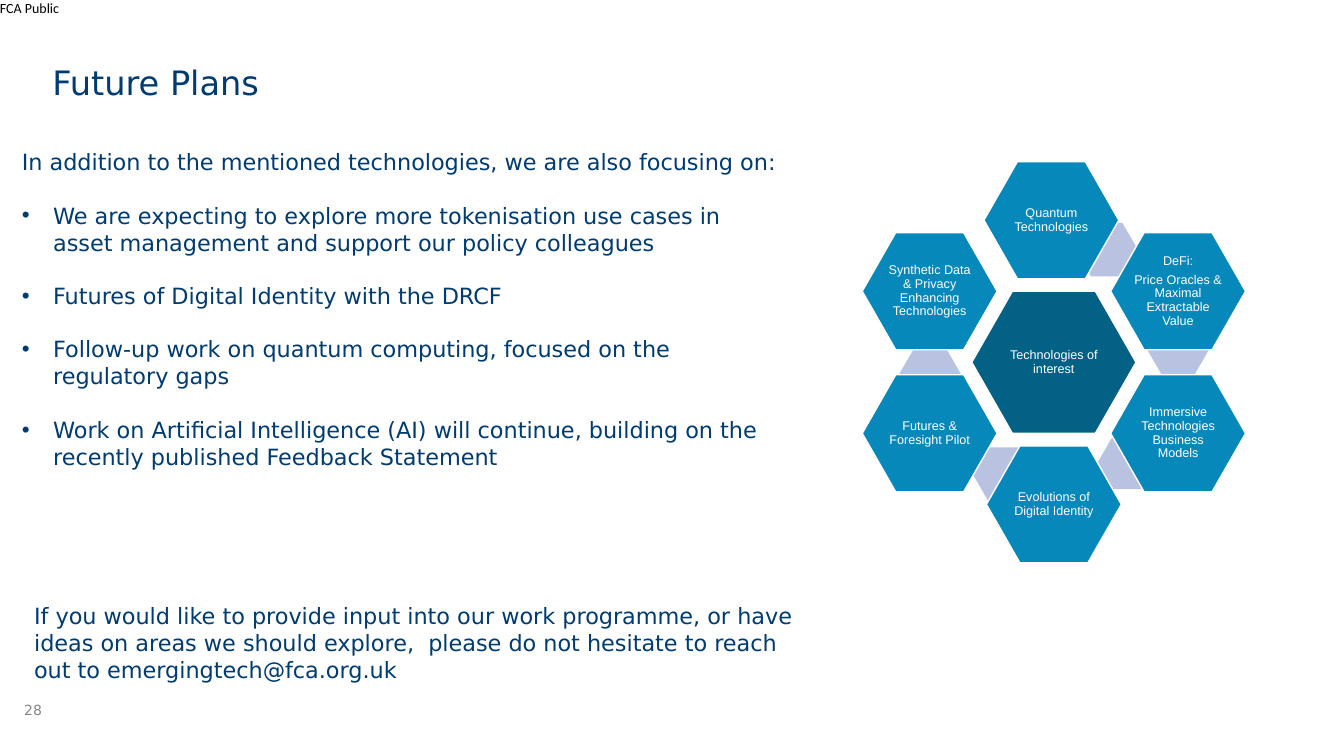
from dataclasses import dataclass

from lxml.etree import SubElement
from pptx import Presentation
from pptx.dml.color import RGBColor
from pptx.enum.shapes import MSO_SHAPE
from pptx.enum.text import MSO_ANCHOR, MSO_AUTO_SIZE, PP_ALIGN
from pptx.oxml.ns import qn
from pptx.util import Cm, Pt


@dataclass(frozen=True)
class Theme:
    navy: str = "003C71"
    grey: str = "878787"
    black: str = "000000"
    white: str = "FFFFFF"
    core: str = "046186"
    petal: str = "0688BB"
    link: str = "B9C2E1"
    title: int = 24
    body: int = 16
    small: int = 10
    label: int = 9
    main_font: str = "DejaVu Sans"
    tag_font: str = "Calibri"
    label_font: str = "Arial"


theme = Theme()


def write(tf, lines, margins, font, size, color, **para_format):
    """Fill a text frame with one paragraph per line."""
    side, top = margins
    frame_format = {"word_wrap": True, "auto_size": MSO_AUTO_SIZE.NONE,
                    "margin_left": Cm(side), "margin_right": Cm(side),
                    "margin_top": Cm(top), "margin_bottom": Cm(top)}
    for name, value in frame_format.items():
        setattr(tf, name, value)
    for i, line in enumerate(lines):
        p = tf.paragraphs[0] if i == 0 else tf.add_paragraph()
        for name, value in para_format.items():
            setattr(p, name, value)
        r = p.add_run()
        r.text = line
        r.font.name, r.font.size = font, Pt(size)
        r.font.color.rgb = RGBColor.from_string(color)


def add_hexagon(s, cx, cy, w, h, adj, fill, outlined=True):
    """Add a hexagon around a centre point, in centimetres."""
    sp = s.shapes.add_shape(MSO_SHAPE.HEXAGON, Cm(cx - w / 2), Cm(cy - h / 2), Cm(w), Cm(h))
    sp.adjustments[0] = adj
    sp.shadow.inherit = False
    sp.fill.solid()
    sp.fill.fore_color.rgb = RGBColor.from_string(fill)
    if outlined:
        sp.line.color.rgb = RGBColor.from_string(theme.white)
        sp.line.width = Pt(1)
    else:
        sp.line.fill.background()
    return sp


prs = Presentation()
prs.slide_width, prs.slide_height = Cm(33.87), Cm(19.05)
s = prs.slides.add_slide(prs.slide_layouts[5])

# Title
title = s.shapes.title
title_place = {"left": 1.32, "top": 1.55, "width": 24.94, "height": 1.02}
for name, value in title_place.items():
    setattr(title, name, Cm(value))
title.text_frame.vertical_anchor = MSO_ANCHOR.TOP
write(title.text_frame, ["Future Plans"], (0, 0), theme.main_font, theme.title,
      theme.navy, alignment=PP_ALIGN.LEFT)

# Classification tag and page number
for place, text, font, color in [
    ((0, 0, 2.5, 0.43), "FCA Public", theme.tag_font, theme.black),
    ((0.61, 17.68, 0.97, 0.71), "28", theme.main_font, theme.grey),
]:
    tb = s.shapes.add_textbox(*map(Cm, place))
    write(tb.text_frame, [text], (0, 0), font, theme.small, color)

# Focus areas: an opening line, then bullets
focus = [
    "In addition to the mentioned technologies, we are also focusing on:",
    "We are expecting to explore more tokenisation use cases in asset management "
    "and support our policy colleagues",
    "Futures of Digital Identity with the DRCF",
    "Follow-up work on quantum computing, focused on the regulatory gaps",
    "Work on Artificial Intelligence (AI) will continue, building on the recently "
    "published Feedback Statement",
]
tb = s.shapes.add_textbox(Cm(0.3), Cm(3.61), Cm(19.69), Cm(9.83))
write(tb.text_frame, focus, (0.25, 0.13), theme.main_font, theme.body, theme.navy)
for p in tb.text_frame.paragraphs[1:]:
    pPr = p._p.get_or_add_pPr()
    pPr.set("marL", str(Cm(0.79)))
    pPr.set("indent", str(-Cm(0.79)))
    SubElement(pPr, qn("a:buFont"), typeface=theme.label_font)
    SubElement(pPr, qn("a:buChar"), char="•")
    p.space_before = Pt(19)

# Contact note
tb = s.shapes.add_textbox(Cm(0.61), Cm(15.04), Cm(20.29), Cm(2.31))
write(tb.text_frame,
      ["If you would like to provide input into our work programme, or have ideas on "
       "areas we should explore,  please do not hesitate to reach out to "
       "emergingtech@fca.org.uk"],
      (0.25, 0.13), theme.main_font, theme.body, theme.navy)

# Links between the petals, behind everything else
for cx, cy in [(27.89, 6.29), (29.69, 8.8), (28.45, 11.65), (25.3, 11.95), (23.44, 9.44)]:
    add_hexagon(s, cx, cy, 1.57, 1.35, 0.289, theme.link, outlined=False)

# Core and its ring of petals, placed in column and row steps from the core
core_x, core_y = 26.56, 9.13
step_x, step_y = 3.13, 1.79
core_size, petal_size = (4.14, 3.58), (3.4, 2.95)
hexagons = [
    (0, 0, ["Technologies of interest"]),
    (-0.02, -2, ["Quantum Technologies"]),
    (1, -1, ["DeFi:", "Price Oracles & Maximal Extractable Value"]),
    (1, 1, ["Immersive Technologies Business Models"]),
    (0, 2, ["Evolutions of Digital Identity"]),
    (-1, 1, ["Futures & Foresight Pilot"]),
    (-1, -1, ["Synthetic Data & Privacy Enhancing Technologies"]),
]
for col, row, lines in hexagons:
    is_core = row == 0
    w, h = core_size if is_core else petal_size
    sp = add_hexagon(s, core_x + col * step_x, core_y + row * step_y, w, h, 0.286,
                     theme.core if is_core else theme.petal)
    sp.text_frame.vertical_anchor = MSO_ANCHOR.MIDDLE
    write(sp.text_frame, lines, (0.03, 0.03), theme.label_font, theme.label, theme.white,
          alignment=PP_ALIGN.CENTER, line_spacing=0.9, space_after=Pt(3.5))

prs.save("out.pptx")
